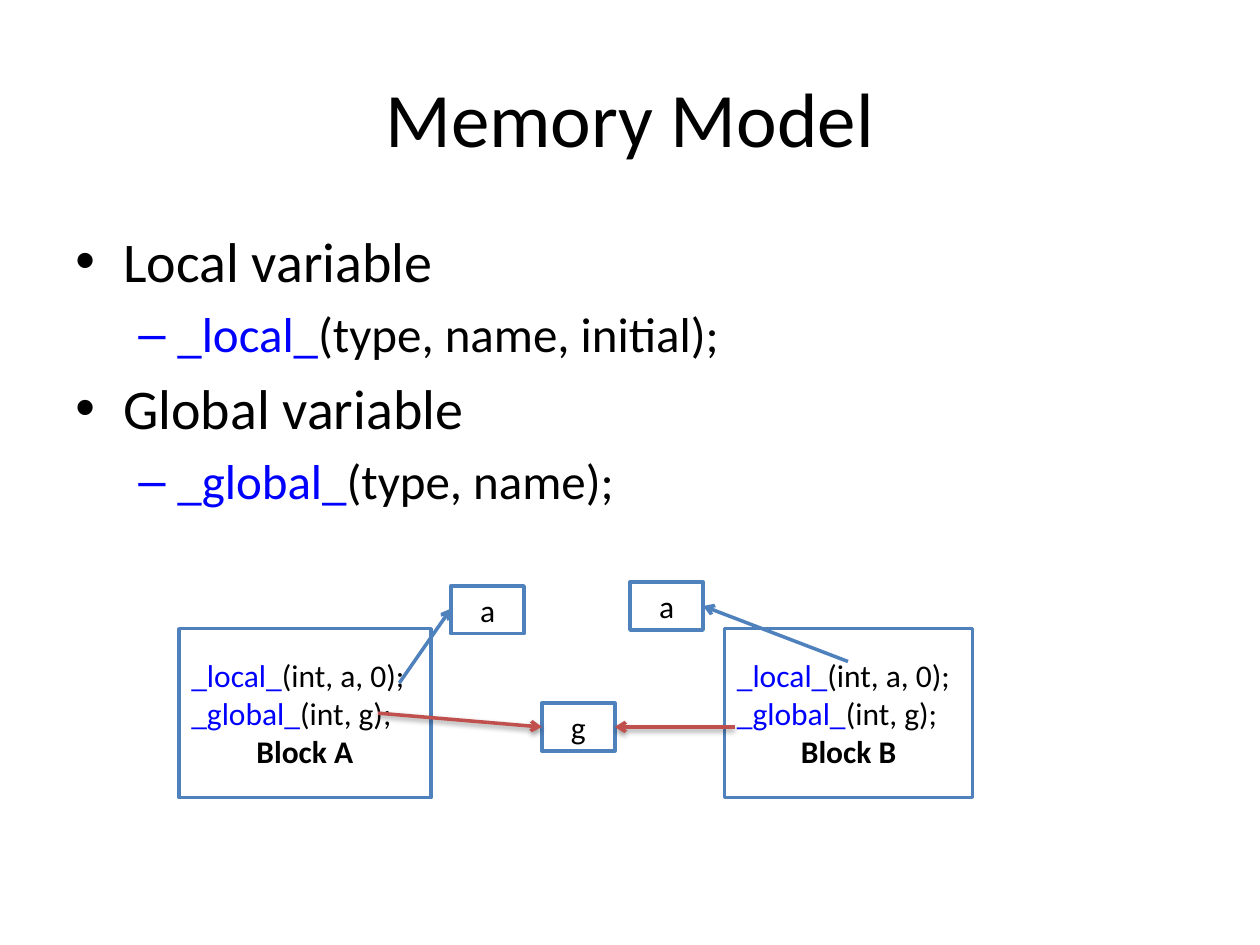
from lxml import etree
from pptx import Presentation
from pptx import util as u
from pptx.dml.color import RGBColor
from pptx.enum import shapes, text
from pptx.oxml import ns

BLACK, WHITE = "000000", "FFFFFF"
KEYWORD = "0000FF"
BLUE, RED = "4F81BD", "C0504D"
LEFT, CENTER = text.PP_ALIGN.LEFT, text.PP_ALIGN.CENTER


def rgb(value):
    """Turn a hex string into a colour."""
    return RGBColor.from_string(value)


def add_element(parent, tag, **attributes):
    """Append a DrawingML element and return it."""
    element = etree.SubElement(parent, ns.qn(tag))
    for name, value in attributes.items():
        element.set(name, str(value))
    return element


def write_paragraph(paragraph, runs, size, align=LEFT, bold=None):
    """Fill a paragraph with (text, colour) runs."""
    paragraph.alignment = align
    paragraph.font.name = "Calibri"
    paragraph.font.size = u.Pt(size)
    paragraph.font.bold = bold
    for content, color in runs:
        run = paragraph.add_run()
        run.text = content
        run.font.color.rgb = rgb(color)


def next_paragraph(frame, index):
    """Return the first paragraph, or a new one after it."""
    return frame.add_paragraph() if index else frame.paragraphs[0]


def set_bullet(paragraph, character, margin, hanging):
    """Give a paragraph a bullet with a hanging indent in inches."""
    properties = paragraph._p.get_or_add_pPr()
    properties.set("marL", str(u.Inches(margin)))
    properties.set("indent", str(-u.Inches(hanging)))
    add_element(properties, "a:buFont", typeface="Arial")
    add_element(properties, "a:buChar", char=character)


def add_text_box(slide, left, top, width, height, anchor):
    """Add a wrapping text box and return its text frame."""
    box = slide.shapes.add_textbox(*map(u.Inches, (left, top, width, height)))
    frame = box.text_frame
    frame.word_wrap = True
    frame.vertical_anchor = anchor
    return frame


def add_title(slide, title):
    """Add the centred slide title."""
    frame = add_text_box(slide, 0.5, 0.3, 9, 1.25, text.MSO_ANCHOR.MIDDLE)
    write_paragraph(frame.paragraphs[0], [(title, BLACK)], 44, CENTER)


def add_bullets(slide, items):
    """Add the two-level list of (level, runs) items."""
    styles = [(32, "\u2022", 0.38, 0.38), (28, "\u2013", 0.81, 0.31)]
    frame = add_text_box(slide, 0.5, 1.75, 9, 4.95, text.MSO_ANCHOR.TOP)
    for index, (level, runs) in enumerate(items):
        size, character, margin, hanging = styles[level]
        paragraph = next_paragraph(frame, index)
        paragraph.level = level
        paragraph.space_before = u.Pt(size * 0.2)
        write_paragraph(paragraph, runs, size)
        set_bullet(paragraph, character, margin, hanging)


def add_box(slide, left, top, width, height):
    """Add a white outlined rectangle and return its text frame."""
    box = slide.shapes.add_shape(shapes.MSO_SHAPE.RECTANGLE,
                                 *map(u.Inches, (left, top, width, height)))
    box.shadow.inherit = False
    box.fill.solid()
    box.fill.fore_color.rgb = rgb(WHITE)
    box.line.color.rgb = rgb(BLUE)
    box.line.width = u.Pt(2)
    box.text_frame.word_wrap = True
    box.text_frame.vertical_anchor = text.MSO_ANCHOR.MIDDLE
    return box.text_frame


def add_block(slide, left, width, name):
    """Add a code block with its declarations and its name."""
    frame = add_box(slide, left, 4.99, width, 1.34)
    lines = [
        ([("_local_", KEYWORD), ("(int, a, 0);", BLACK)], LEFT, None),
        ([("_global_", KEYWORD), ("(int, g);", BLACK)], LEFT, None),
        ([(name, BLACK)], CENTER, True),
    ]
    for index, (runs, align, bold) in enumerate(lines):
        write_paragraph(next_paragraph(frame, index), runs, 18, align, bold)


def add_variable(slide, left, top, name):
    """Add a small memory cell labelled with a variable name."""
    frame = add_box(slide, left, top, 0.58, 0.38)
    write_paragraph(frame.paragraphs[0], [(name, BLACK)], 18, CENTER)


def add_arrow(slide, start, end, color, shadow=False):
    """Add a straight arrow, with a soft shadow if asked."""
    arrow = slide.shapes.add_connector(shapes.MSO_CONNECTOR.STRAIGHT,
                                       *map(u.Inches, start + end))
    arrow.line.color.rgb = rgb(color)
    arrow.line.width = u.Pt(2)
    add_element(arrow.line._get_or_add_ln(), "a:tailEnd", type="arrow")
    effects = add_element(arrow._element.spPr, "a:effectLst")
    if shadow:
        outer = add_element(effects, "a:outerShdw", blurRad=u.Pt(3.1),
                            dist=u.Pt(1.6), dir=90 * 60000, rotWithShape=0)
        shade = add_element(outer, "a:srgbClr", val=BLACK)
        add_element(shade, "a:alpha", val=38000)


def main():
    """Build and save the slide."""
    presentation = Presentation()
    presentation.slide_width = u.Inches(10)
    presentation.slide_height = u.Inches(7.5)
    slide = presentation.slides.add_slide(presentation.slide_layouts[6])

    add_title(slide, "Memory Model")
    add_bullets(slide, [
        (0, [("Local variable", BLACK)]),
        (1, [("_local_", KEYWORD), ("(type, name, initial);", BLACK)]),
        (0, [("Global variable", BLACK)]),
        (1, [("_global_", KEYWORD), ("(type, name);", BLACK)]),
    ])

    add_block(slide, 1.42, 2, "Block A")
    add_block(slide, 5.75, 1.97, "Block B")
    for left, top, name in [(3.58, 4.65, "a"), (5, 4.62, "a"), (4.3, 5.58, "g")]:
        add_variable(slide, left, top, name)

    add_arrow(slide, (3.17, 5.42), (3.58, 4.83), BLUE)
    add_arrow(slide, (6.73, 5.25), (5.58, 4.81), BLUE)
    add_arrow(slide, (3, 5.66), (4.3, 5.77), RED, shadow=True)
    add_arrow(slide, (5.83, 5.77), (4.88, 5.77), RED, shadow=True)

    presentation.save("out.pptx")


main()
